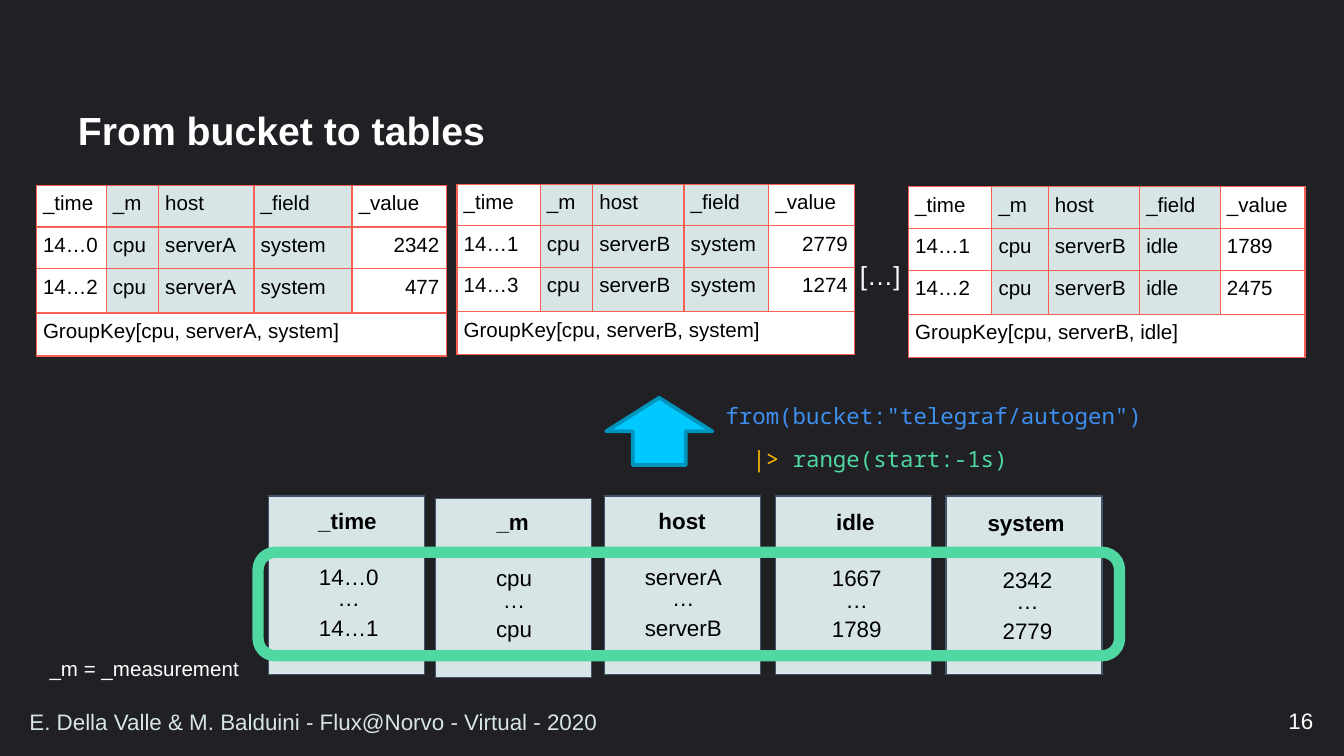
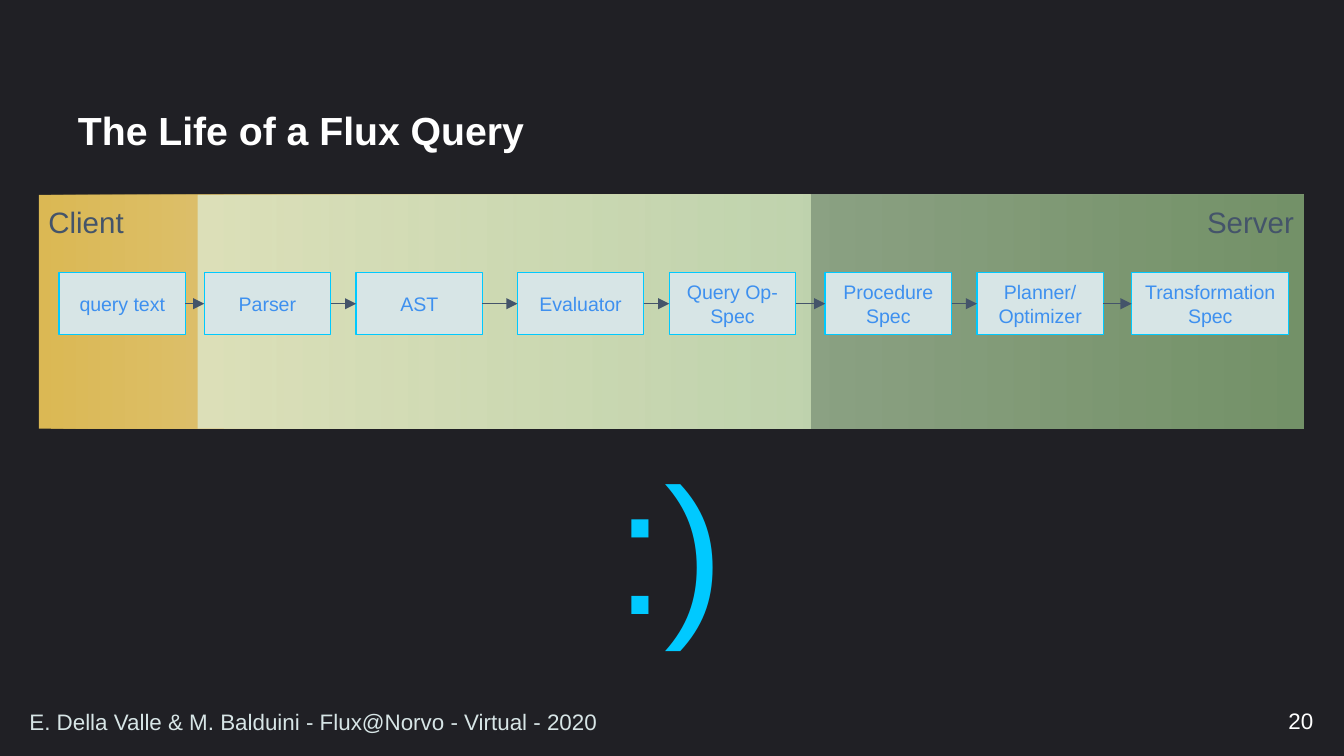
from itertools import pairwise

from lxml import etree
from pptx import Presentation
from pptx.dml.color import RGBColor
from pptx.enum.shapes import MSO_CONNECTOR, MSO_SHAPE
from pptx.enum.text import MSO_ANCHOR, MSO_AUTO_SIZE, PP_ALIGN
from pptx.oxml import parse_xml
from pptx.oxml.ns import nsdecls, qn
from pptx.util import Inches, Pt

RECT, ROUND_RECT, UP_ARROW = MSO_SHAPE.RECTANGLE, MSO_SHAPE.ROUNDED_RECTANGLE, MSO_SHAPE.UP_ARROW
STRAIGHT = MSO_CONNECTOR.STRAIGHT
LEFT, CENTER, RIGHT = PP_ALIGN.LEFT, PP_ALIGN.CENTER, PP_ALIGN.RIGHT
TOP, MIDDLE = MSO_ANCHOR.TOP, MSO_ANCHOR.MIDDLE
FIT_SHAPE = MSO_AUTO_SIZE.SHAPE_TO_FIT_TEXT

DARK = RGBColor(0x20, 0x20, 0x25)
WHITE = RGBColor(0xFF, 0xFF, 0xFF)
BLACK = RGBColor(0, 0, 0)
MIST = RGBColor(0xD7, 0xE5, 0xE6)
SLATE = RGBColor(0x44, 0x54, 0x6A)
CYAN = RGBColor(0x00, 0xC9, 0xFF)
TEAL = RGBColor(0x00, 0x95, 0xBD)
BLUE = RGBColor(0x3E, 0x90, 0xEF)
GREEN = RGBColor(0x4F, 0xD8, 0xA2)
AMBER = RGBColor(0xFF, 0xC0, 0x00)
RED = RGBColor(0xF9, 0x5F, 0x53)
CREAM = RGBColor(0xFF, 0xF6, 0xDB)
GOLD = RGBColor(0xFA, 0xD2, 0x5C)
PALE_GREEN = RGBColor(0xDC, 0xEC, 0xD5)
LEAF = RGBColor(0x93, 0xBC, 0x81)

SANS, MONO = "Arial", "Noto Sans Mono"
FOOTER = "E. Della Valle & M. Balduini - Flux@Norvo - Virtual - 2020"

# Slide 1
FIELDS = ["_time", "_m", "host", "_field", "_value"]
ROW_HEIGHTS = [0.31, 0.31, 0.33, 0.32]
TABLES = [
    {"at": (0.27, 1.38), "cols": [0.52, 0.39, 0.71, 0.73, 0.7], "value_align": RIGHT,
     "key": ["cpu", "serverA", "system"], "rows": [("14…0", "2342"), ("14…2", "477")]},
    {"at": (3.4, 1.37), "cols": [0.62, 0.39, 0.68, 0.63, 0.64], "value_align": RIGHT,
     "key": ["cpu", "serverB", "system"], "rows": [("14…1", "2779"), ("14…3", "1274")]},
    {"at": (6.76, 1.39), "cols": [0.62, 0.42, 0.68, 0.6, 0.63], "value_align": LEFT,
     "key": ["cpu", "serverB", "idle"], "rows": [("14…1", "1789"), ("14…2", "2475")]},
]
# name, card place, name place, first value, last value
BUCKET = [
    ("_time", (2, 3.69), (2.13, 3.67), "14…0", "14…1"),
    ("_m", (3.24, 3.71), (3.36, 3.68), "cpu", "cpu"),
    ("host", (4.5, 3.69), (4.62, 3.67), "serverA", "serverB"),
    ("idle", (5.77, 3.69), (5.91, 3.68), "1667", "1789"),
    ("system", (7.04, 3.69), (7.18, 3.69), "2342", "2779"),
]
VALUE_DROPS = [0.42, 0.58, 0.8]
CODE = [
    [('from(bucket:"telegraf/autogen")', BLUE)],
    [("  ", BLACK), ("|> ", AMBER), ("range(start:-1s)", GREEN)],
]

# Slide 2
ZONES = [
    {"text": "Client", "at": (0.29, 1.45, 5.74, 1.74), "align": LEFT,
     "stops": (GOLD, CREAM), "opacity": 85},
    {"text": "Server", "at": (1.47, 1.45, 8.23, 1.74), "align": RIGHT,
     "stops": (PALE_GREEN, LEAF), "opacity": 73},
]
STAGE_TOP, STAGE_W, STAGE_H = 2.03, 0.94, 0.46
STAGES = [
    ("query text", 0.44, STAGE_W), ("Parser", 1.52, STAGE_W), ("AST", 2.65, STAGE_W),
    ("Evaluator", 3.85, STAGE_W), ("Query Op-Spec", 4.98, STAGE_W),
    ("Procedure Spec", 6.14, STAGE_W), ("Planner/\vOptimizer", 7.27, STAGE_W),
    ("Transformation Spec", 8.42, 1.17),
]


def style_font(r, size, color, bold=False, name=SANS):
    f = r.font
    f.name, f.size, f.bold = name, Pt(size), bold
    f.color.rgb = color


def set_margins(item, x, y):
    item.margin_left = item.margin_right = Inches(x)
    item.margin_top = item.margin_bottom = Inches(y)


def write(tf, text, size, color, bold=False, align=LEFT, anchor=TOP, margins=(0.1, 0.05), wrap=True):
    tf.text = text
    tf.word_wrap = wrap
    tf.vertical_anchor = anchor
    set_margins(tf, *margins)
    p = tf.paragraphs[0]
    p.alignment = align
    for r in p.runs:
        style_font(r, size, color, bold)
    return p


def add_text(s, at, text, size, color, **options):
    sp = s.shapes.add_textbox(*map(Inches, at))
    p = write(sp.text_frame, text, size, color, **options)
    if options.get("wrap") is False:
        sp.text_frame.auto_size = FIT_SHAPE
    return p


def add_box(s, kind, at, fill=None, line=None, width=0.75):
    sp = s.shapes.add_shape(kind, *map(Inches, at))
    sp.shadow.inherit = False
    if fill is None:
        sp.fill.background()
    else:
        sp.fill.solid()
        sp.fill.fore_color.rgb = fill
    if line is None:
        sp.line.fill.background()
    else:
        sp.line.color.rgb = line
        sp.line.width = Pt(width)
    return sp


def add_slide(prs, title, number):
    s = prs.slides.add_slide(prs.slide_layouts[6])
    s.background.fill.solid()
    s.background.fill.fore_color.rgb = DARK
    p = add_text(s, (0.51, 0.67, 8.98, 0.64), title, 21, WHITE, bold=True,
                 anchor=MIDDLE, margins=(0.07, 0.04))
    p.line_spacing = 0.9
    add_text(s, (7.62, 5.21, 2.25, 0.3), str(number), 12, WHITE, align=RIGHT, anchor=MIDDLE)
    add_text(s, (0.12, 5.22, 7.45, 0.29), FOOTER, 12, MIST, anchor=MIDDLE)
    return s


def set_borders(cell, color):
    tc_pr = cell._tc.get_or_add_tcPr()
    for i, side in enumerate(("lnL", "lnR", "lnT", "lnB")):
        tc_pr.insert(i, parse_xml(
            f'<a:{side} {nsdecls("a")} w="{Pt(0.75)}"><a:solidFill>'
            f'<a:srgbClr val="{color}"/></a:solidFill></a:{side}>'))


def add_group_table(s, at, cols, value_align, key, rows):
    """Draw one table whose middle columns hold the group key."""
    grid = [FIELDS] + [[time, *key, value] for time, value in rows]
    grid.append([f"GroupKey[{', '.join(key)}]", "", "", "", ""])
    size = sum(cols), sum(ROW_HEIGHTS)
    tbl = s.shapes.add_table(len(grid), len(cols), *map(Inches, (*at, *size))).table
    for column, width in zip(tbl.columns, cols):
        column.width = Inches(width)
    last = len(grid) - 1
    for i, (texts, height) in enumerate(zip(grid, ROW_HEIGHTS)):
        tbl.rows[i].height = Inches(height)
        for j, text in enumerate(texts):
            cell = tbl.cell(i, j)
            cell.fill.solid()
            cell.fill.fore_color.rgb = MIST if 1 <= j <= 3 and i < last else WHITE
            set_borders(cell, RED)
            set_margins(cell, 0.05, 0.05)
            p = cell.text_frame.paragraphs[0]
            p.text = text
            p.alignment = value_align if j == 4 and 0 < i < last else LEFT
            for r in p.runs:
                style_font(r, 11, BLACK)
    tbl.cell(last, 0).merge(tbl.cell(last, len(cols) - 1))


def add_bucket_column(s, name, card_at, name_at, first, final):
    add_box(s, RECT, (*card_at, 1.16, 1.33), MIST, SLATE)
    label = dict(align=CENTER, margins=(0.1, 0.1))
    add_text(s, (*name_at, 0.91, 0.27), name, 12, BLACK, bold=True, **label)
    left, top = name_at
    for text, drop in zip((first, "…", final), VALUE_DROPS):
        add_text(s, (left + 0.01, top + drop, 0.91, 0.27), text, 12, BLACK, **label)


def add_code(s, at, lines):
    tf = s.shapes.add_textbox(*map(Inches, at)).text_frame
    tf.word_wrap = True
    for i, pieces in enumerate(lines):
        p = tf.add_paragraph() if i else tf.paragraphs[0]
        p.line_spacing = 1.6
        for text, color in pieces:
            r = p.add_run()
            r.text = text
            style_font(r, 12, color, name=MONO)


def add_zone(s, text, at, align, stops, opacity):
    sp = add_box(s, RECT, at)
    sp.fill.gradient()
    sp.fill.gradient_angle = 0
    for stop, color in zip(sp.fill.gradient_stops, stops):
        stop.color.rgb = color
    for clr in sp._element.spPr.find(qn("a:gradFill")).iter(qn("a:srgbClr")):
        etree.SubElement(clr, qn("a:alpha"), val=str(opacity * 1000))
    write(sp.text_frame, text, 15.8, SLATE, align=align, margins=(0.07, 0.07))


def add_arrow(s, source, target):
    c = s.shapes.add_connector(STRAIGHT, 0, 0, 0, 0)
    c.begin_connect(source, 3)
    c.end_connect(target, 1)
    c.line.color.rgb = SLATE
    c.line.width = Pt(0.75)
    etree.SubElement(c.line._get_or_add_ln(), qn("a:tailEnd"), type="triangle")
    etree.SubElement(c._element.spPr, qn("a:effectLst"))


def build_tables_slide(prs):
    s = add_slide(prs, "From bucket to tables", 16)
    for table in TABLES:
        add_group_table(s, **table)
    add_text(s, (6.3, 1.88, 0.51, 0.34), "[…]", 14, WHITE, wrap=False)
    add_box(s, UP_ARROW, (4.51, 2.96, 0.79, 0.5), CYAN, TEAL, 2)
    add_code(s, (5.3, 2.82, 5, 0.71), CODE)
    for column in BUCKET:
        add_bucket_column(s, *column)
    add_text(s, (0.27, 4.83, 1.62, 0.29), "_m = _measurement", 11, WHITE, wrap=False)
    add_box(s, ROUND_RECT, (1.92, 4.11, 6.41, 0.77), line=GREEN, width=6)


def build_query_slide(prs):
    s = add_slide(prs, "The Life of a Flux Query", 20)
    for zone in ZONES:
        add_zone(s, **zone)
    boxes = []
    for text, left, width in STAGES:
        sp = add_box(s, RECT, (left, STAGE_TOP, width, STAGE_H), MIST, CYAN)
        write(sp.text_frame, text, 10.5, BLUE, align=CENTER, anchor=MIDDLE, margins=(0.07, 0.07))
        boxes.append(sp)
    for source, target in pairwise(boxes):
        add_arrow(s, source, target)
    add_text(s, (4.48, 3.19, 1.02, 1.72), ":)", 96, CYAN, wrap=False)


def main():
    prs = Presentation()
    prs.slide_width = Inches(10)
    prs.slide_height = prs.slide_width * 9 // 16
    build_tables_slide(prs)
    build_query_slide(prs)
    prs.save("out.pptx")


if __name__ == "__main__":
    main()
